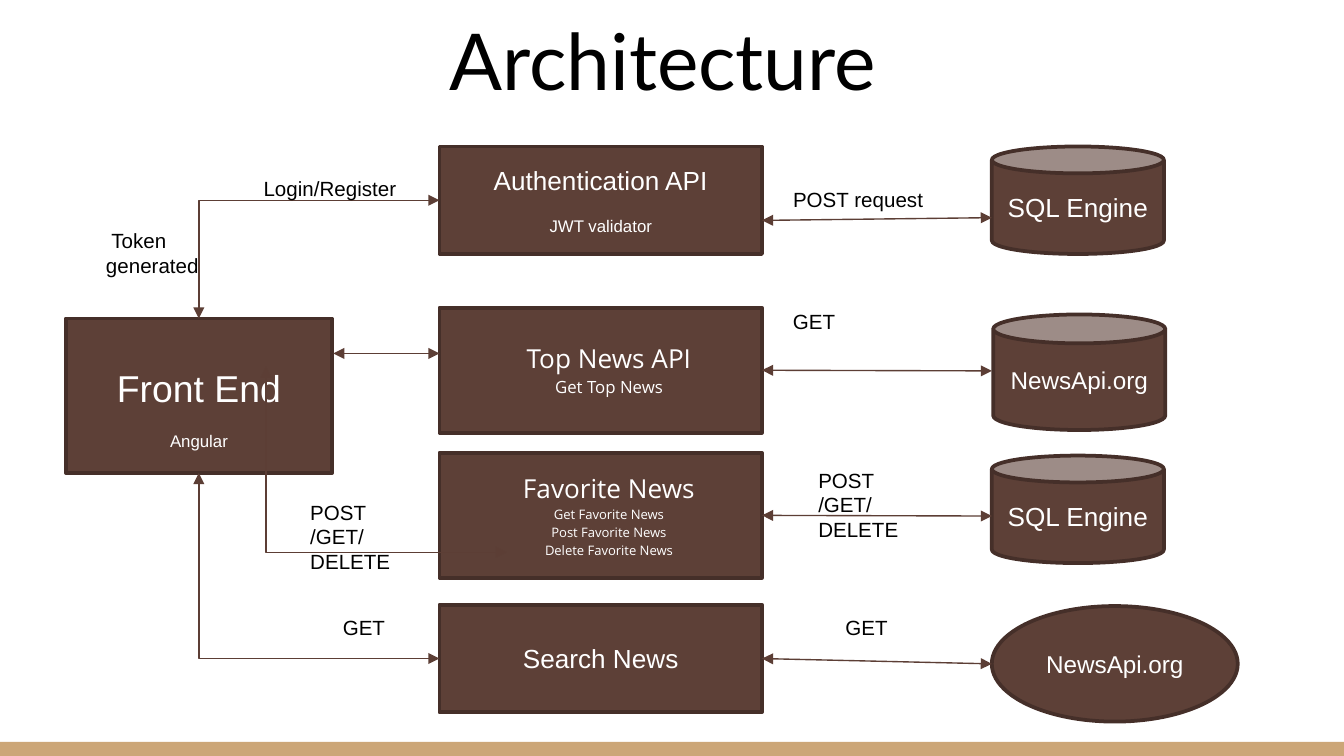
from lxml import etree
from pptx import Presentation
from pptx import util as u
from pptx.dml import color
from pptx.enum import shapes, text
from pptx.oxml import ns

COLORS = {"bar": "CCA677", "fill": "5D4037", "edge": "452F29",
          "arrow": "5C3E35", "light": "FFFFFF", "dark": "000000"}
RGB = {name: color.RGBColor.from_string(value) for name, value in COLORS.items()}
SHAPE = shapes.MSO_SHAPE
LINE = shapes.MSO_CONNECTOR

# Widescreen page, 16:9
deck = Presentation()
deck.slide_width = u.Inches(10)
deck.slide_height = u.Inches(10 * 9 / 16)
page = deck.slides.add_slide(deck.slide_layouts[6])


def write(box, lines, font, ink, align, spacing=None):
    """Fill a box with (words, size, space before) lines."""
    frame = box.text_frame
    frame.word_wrap = True
    for number, (words, size, before) in enumerate(lines):
        para = frame.paragraphs[0] if number == 0 else frame.add_paragraph()
        para.alignment = align
        if before:
            para.space_before = u.Pt(before)
        if spacing:
            para.line_spacing = spacing
        for part_number, part in enumerate(words.split("\n")):
            if part_number:
                para.add_line_break()
            span = para.add_run()
            span.text = part
            span.font.name = font
            span.font.size = u.Pt(size)
            span.font.color.rgb = RGB[ink]


def arrow(kind, start, end):
    """Draw a thin line with a triangle at both ends."""
    line = page.shapes.add_connector(kind, *[u.Inches(v) for v in start + end])
    line.line.color.rgb = RGB["arrow"]
    line.line.width = u.Pt(0.75)
    outline = line.line._get_or_add_ln()
    for tag in ("a:headEnd", "a:tailEnd"):
        etree.SubElement(outline, ns.qn(tag), type="triangle")
    etree.SubElement(line._element.spPr, ns.qn("a:effectLst"))
    if kind == LINE.ELBOW:
        line._element.spPr.find(ns.qn("a:prstGeom")).set("prst", "bentConnector2")
    return line


# Bottom bar
bar = page.shapes.add_shape(SHAPE.RECTANGLE, 0, u.Inches(5.52), u.Inches(10), u.Inches(0.11))
bar.shadow.inherit = False
bar.fill.solid()
bar.fill.fore_color.rgb = RGB["bar"]
bar.line.fill.background()

# Title
title = page.shapes.add_textbox(u.Inches(0.27), u.Inches(-0.02), u.Inches(9.32), u.Inches(0.91))
title.text_frame.vertical_anchor = text.MSO_ANCHOR.BOTTOM
title.text_frame.margin_top = title.text_frame.margin_bottom = u.Inches(0.1)
write(title, [("Architecture", 42, 0)], "Lato", "dark", text.PP_ALIGN.CENTER)

# Components: name, shape, place, font, lines
components = [
    ("front end", SHAPE.RECTANGLE, (0.49, 2.37, 1.98, 1.15), "Arial",
     [("Front End", 20, 0), ("Angular", 9, 11)]),
    ("authentication", SHAPE.RECTANGLE, (3.27, 1.09, 2.4, 0.8), "Arial",
     [("Authentication API", 14, 0), ("JWT validator", 9, 11)]),
    ("top news", SHAPE.RECTANGLE, (3.27, 2.29, 2.4, 0.93), "Open Sans",
     [("Top News API", 14, 0), ("Get Top News", 9, 0)]),
    ("favorite news", SHAPE.RECTANGLE, (3.27, 3.37, 2.4, 0.93), "Open Sans",
     [("Favorite News", 14, 0), ("Get Favorite News", 7, 0),
      ("Post Favorite News", 7, 0), ("Delete Favorite News", 7, 0)]),
    ("search news", SHAPE.RECTANGLE, (3.27, 4.5, 2.4, 0.8), "Arial", [("Search News", 14, 0)]),
    ("user store", SHAPE.CAN, (7.38, 1.09, 1.28, 0.8), "Arial", [("SQL Engine", 14, 0)]),
    ("news store", SHAPE.CAN, (7.39, 2.34, 1.28, 0.86), "Arial", [("NewsApi.org", 13, 0)]),
    ("favorite store", SHAPE.CAN, (7.38, 3.39, 1.28, 0.8), "Arial", [("SQL Engine", 14, 0)]),
    ("search source", SHAPE.OVAL, (7.38, 4.51, 1.83, 0.86), "Arial", [("NewsApi.org", 13, 0)]),
]
boxes = {}
for name, kind, place, font, lines in components:
    box = page.shapes.add_shape(kind, *[u.Inches(v) for v in place])
    box.shadow.inherit = False
    box.fill.solid()
    box.fill.fore_color.rgb = RGB["fill"]
    box.line.color.rgb = RGB["edge"]
    box.line.width = u.Pt(2)
    box.text_frame.vertical_anchor = text.MSO_ANCHOR.MIDDLE
    is_news = font == "Open Sans"
    if is_news:
        box.text_frame.margin_left = u.Inches(0.22)
        box.text_frame.margin_bottom = u.Inches(0.09)
    write(box, lines, font, "light", text.PP_ALIGN.CENTER, 1.15 if is_news else None)
    boxes[name] = box
boxes["front end"].text_frame.margin_top = u.Inches(0.23)

# Straight arrows
arrow(LINE.STRAIGHT, (2.48, 2.63), (3.27, 2.63))
arrow(LINE.STRAIGHT, (5.67, 1.64), (7.38, 1.62))
for name, start_y, end_y in [("top news", 2.76, 2.76), ("favorite news", 3.84, 3.84),
                             ("search news", 4.9, 4.94)]:
    arrow(LINE.STRAIGHT, (5.67, start_y), (7.38, end_y)).begin_connect(boxes[name], 3)

# Bent arrows to the front end
for start, end in [((3.27, 1.49), (1.48, 2.37)), ((3.27, 4.9), (1.48, 3.52)),
                   ((3.77, 4.11), (1.98, 2.73))]:
    arrow(LINE.ELBOW, start, end)

# Arrow labels
methods = ["POST\n/GET/", "DELETE"]
for left, top, width, height, lines in [
    (1.82, 1.26, 1.28, 0.29, [" Login/Register"]),
    (0.69, 1.65, 1.28, 0.47, [" Token generated"]),
    (5.76, 1.34, 1.28, 0.29, [" POST request"]),
    (5.76, 2.25, 0.6, 0.29, [" GET"]),
    (6.15, 4.53, 0.6, 0.29, [" GET"]),
    (2.41, 4.53, 1.28, 0.29, [" GET"]),
    (2.21, 3.67, 0.9, 0.66, methods),
    (5.99, 3.43, 0.9, 0.66, methods),
]:
    label = page.shapes.add_textbox(*[u.Inches(v) for v in (left, top, width, height)])
    label.text_frame.auto_size = text.MSO_AUTO_SIZE.SHAPE_TO_FIT_TEXT
    write(label, [(line, 11, 0) for line in lines], "Arial", "dark", text.PP_ALIGN.LEFT)

deck.save("out.pptx")
